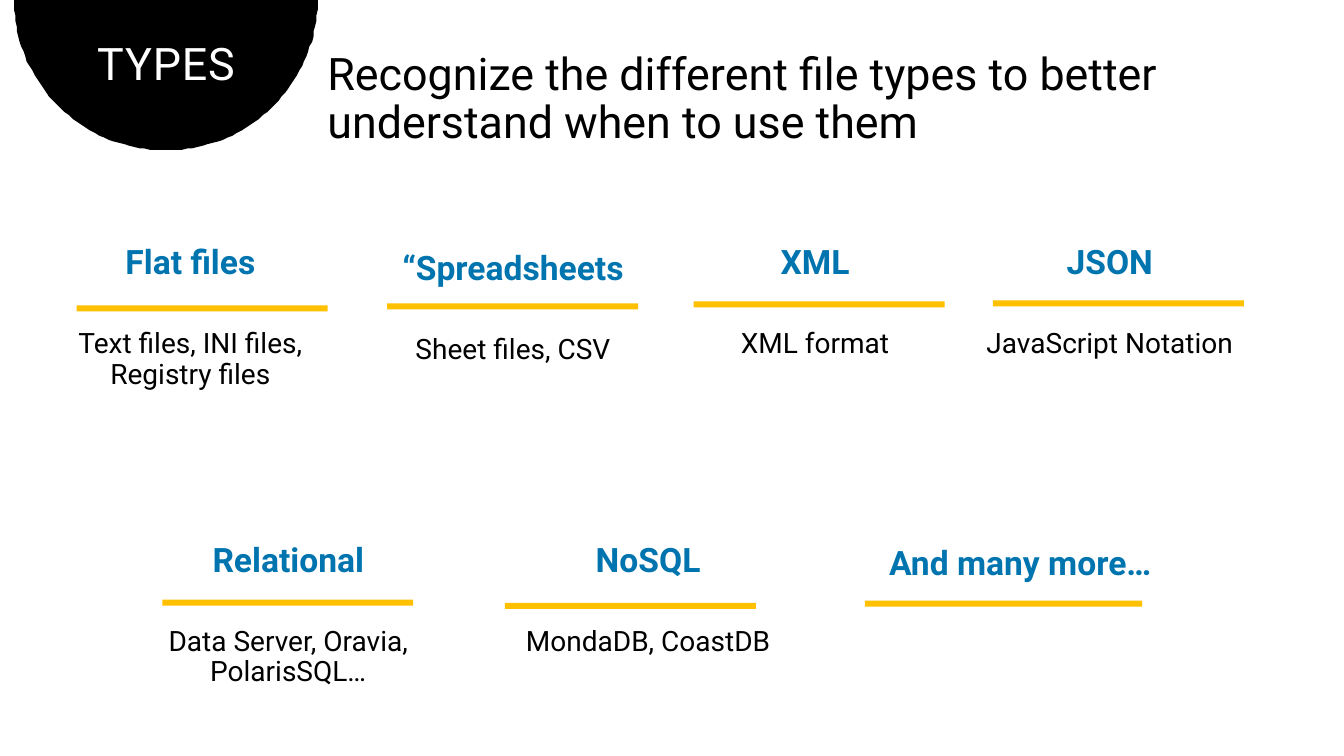
from dataclasses import dataclass
from math import cos, pi, sin

from pptx import Presentation
from pptx.dml.color import RGBColor
from pptx.enum.shapes import MSO_SHAPE
from pptx.enum.text import MSO_AUTO_SIZE, PP_ALIGN
from pptx.util import Pt


@dataclass(frozen=True)
class Theme:
    font: str = "Roboto"
    black: str = "000000"
    white: str = "FFFFFF"
    blue: str = "0074AF"
    gold: str = "FFC000"
    title: int = 32
    heading: int = 24
    body: int = 20


THEME = Theme()
BAR_W, BAR_H = 179.3, 4.3

# Box (left, top, width, height), bar (left, top, width), heading, detail
FILE_TYPES = [
    ((33.8, 172, 204.5, 155.5), (54.7, 218.2, BAR_W),
     "Flat files", "Text files, INI files, Registry files"),
    ((270.7, 176.4, 191.5, 89.3), (276.5, 216.7, BAR_W),
     "“Spreadsheets", "Sheet files, CSV"),
    ((506.9, 172, 150.5, 89.3), (495.4, 215.3, BAR_W),
     "XML", "XML format"),
    ((697, 172, 191.5, 89.3), (709.2, 214.6, BAR_W),
     "JSON", "JavaScript Notation"),
    ((103.7, 384.5, 204.5, 111.6), (115.9, 428.4, BAR_W),
     "Relational", "Data Server, Oravia, PolarisSQL…"),
    ((360.7, 384.5, 204.5, 89.3), (360.7, 430.6, BAR_W),
     "NoSQL", "MondaDB, CoastDB"),
    ((617.8, 386.6, 221.8, 33.1), (617.8, 429.1, 198),
     "And many more…", None),
]


def paint(s, color):
    s.shadow.inherit = False
    s.fill.solid()
    s.fill.fore_color.rgb = RGBColor.from_string(color)
    s.line.fill.background()


def add_text_frame(slide, box):
    tf = slide.shapes.add_textbox(*map(Pt, box)).text_frame
    tf.word_wrap = True
    tf.auto_size = MSO_AUTO_SIZE.SHAPE_TO_FIT_TEXT
    return tf


def write(p, text, *, size, color, bold=False, align=PP_ALIGN.CENTER,
          before=10, after=0, tracking=None):
    p.alignment = align
    p.line_spacing = 0.9
    p.space_before, p.space_after = Pt(before), Pt(after)
    r = p.add_run()
    r.text = text
    r.font.name, r.font.size, r.font.bold = THEME.font, Pt(size), bold
    r.font.color.rgb = RGBColor.from_string(color)
    if tracking:
        r.font._element.set("spc", str(round(tracking * 100)))


def add_badge(slide, box, text):
    """Half disc hanging from the top of the box, with a label in it."""
    left, top, width, height = box
    steps = 90
    rim = [(left + width / 2 * (1 + cos(pi * i / steps)),
            top + height * sin(pi * i / steps)) for i in range(steps + 1)]
    outline = slide.shapes.build_freeform(*rim[0], scale=Pt(1))
    outline.add_line_segments(rim[1:], close=True)
    paint(outline.convert_to_shape(), THEME.black)
    tf = add_text_frame(slide, (left + 15, top + 26.6, width - 29.5, 42.5))
    write(tf.paragraphs[0], text, size=THEME.title, color=THEME.white,
          before=0, tracking=0.6)


def add_headline(slide, box, text):
    tf = add_text_frame(slide, box)
    write(tf.paragraphs[0], text, size=THEME.title, color=THEME.black,
          align=PP_ALIGN.LEFT)


def add_file_type(slide, box, bar, heading, detail):
    tf = add_text_frame(slide, box)
    write(tf.paragraphs[0], heading, size=THEME.heading, color=THEME.blue,
          bold=True, after=24)
    if detail:
        write(tf.add_paragraph(), detail, size=THEME.body, color=THEME.black,
              after=12)
    s = slide.shapes.add_shape(MSO_SHAPE.RECTANGLE, *map(Pt, (*bar, BAR_H)))
    paint(s, THEME.gold)


def main():
    prs = Presentation()
    prs.slide_width, prs.slide_height = Pt(960), Pt(540)
    slide = prs.slides.add_slide(prs.slide_layouts[6])
    add_badge(slide, (10.1, 0, 216.7, 107.4), "TYPES")
    add_headline(slide, (226.8, 33.1, 715, 113),
                 "Recognize the different file types to better "
                 "understand when to use them")
    for file_type in FILE_TYPES:
        add_file_type(slide, *file_type)
    prs.save("out.pptx")


if __name__ == "__main__":
    main()
